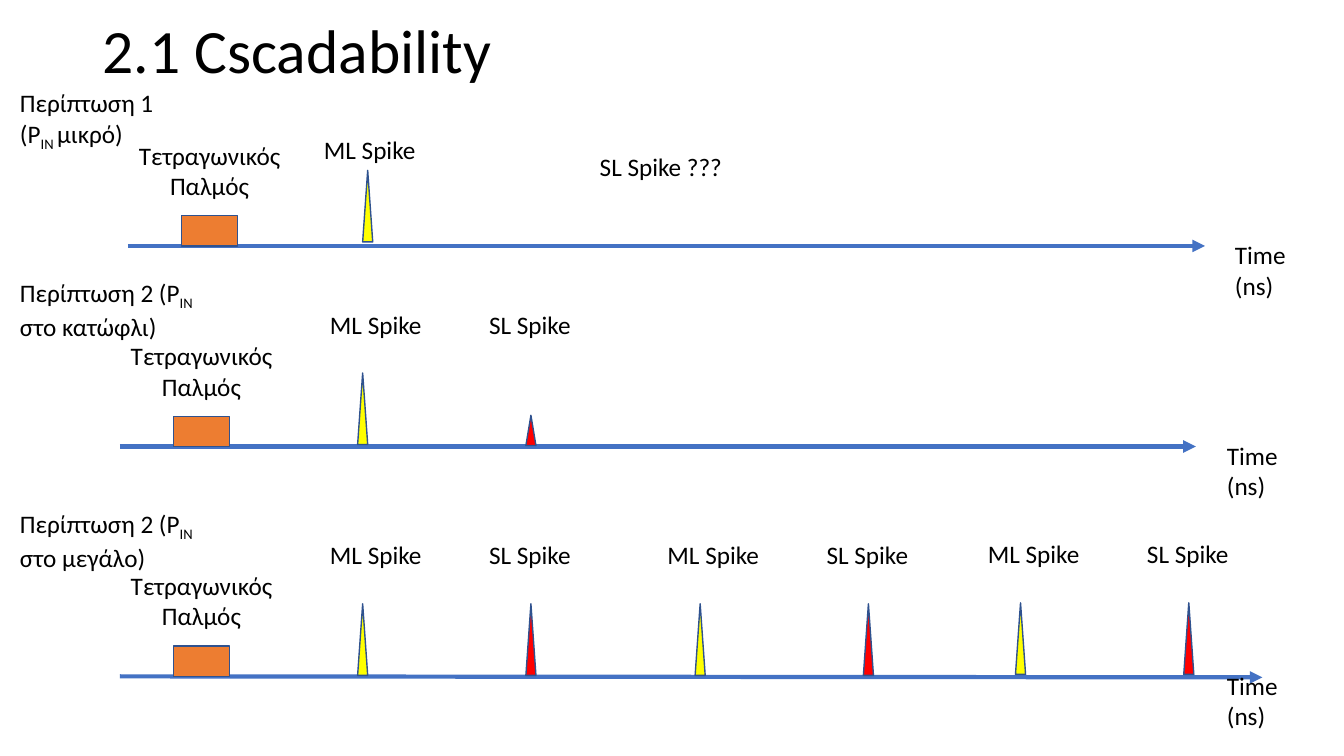
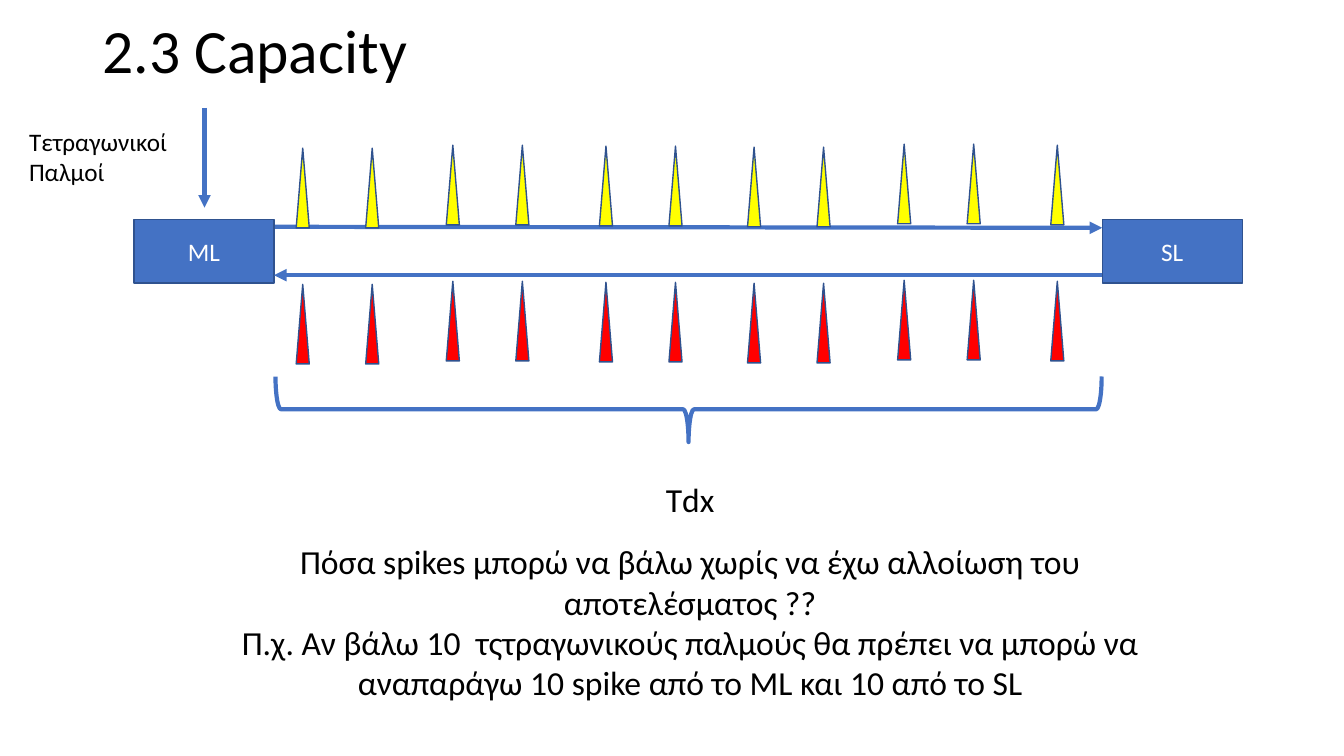
from lxml import etree
from pptx import Presentation
from pptx.dml.color import RGBColor
from pptx.enum.shapes import MSO_CONNECTOR, MSO_SHAPE
from pptx.enum.text import MSO_ANCHOR, PP_ALIGN
from pptx.oxml.ns import qn
from pptx.util import Inches, Pt

LEFT, CENTER = PP_ALIGN.LEFT, PP_ALIGN.CENTER
MIDDLE = MSO_ANCHOR.MIDDLE
RECT, TRIANGLE = MSO_SHAPE.RECTANGLE, MSO_SHAPE.ISOSCELES_TRIANGLE
BRACE = MSO_SHAPE.LEFT_BRACE
STRAIGHT = MSO_CONNECTOR.STRAIGHT

BLACK = RGBColor(0x00, 0x00, 0x00)
WHITE = RGBColor(0xFF, 0xFF, 0xFF)
BLUE = RGBColor(0x44, 0x72, 0xC4)
NAVY = RGBColor(0x2F, 0x52, 0x8F)
ORANGE = RGBColor(0xED, 0x7D, 0x31)
YELLOW = RGBColor(0xFF, 0xFF, 0x00)
RED = RGBColor(0xFF, 0x00, 0x00)
FONT = "Calibri"

# Spikes: label, label centre, label top, spike left, spike top, spike height
TRAIN = [
    (name, mid + shift, 5.3 - rise, left + shift, 5.99 - rise, 0.71)
    for shift, rise in [(0, 0), (3.35, 0), (6.53, 0.01)]
    for name, mid, left in [("ML Spike", 3.73, 3.55), ("SL Spike", 5.26, 5.22)]
]
CASES = [
    {"words": ("Περίπτωση 1 (P", "IN ", "μικρό)"), "top": 0.82, "width": 1.64,
     "start": (1.27, 2.44), "end": (11.96, 2.44),
     "spikes": [("ML Spike", 3.67, 1.28, 3.6, 1.69, 0.71),
                ("SL Spike ???", 6.56, 1.45, None, None, None)]},
    {"words": ("Περίπτωση 2 (P", "IN ", "στο κατώφλι)"), "top": 2.7, "width": 2.08,
     "start": (1.19, 4.43), "end": (11.87, 4.43),
     "spikes": [("ML Spike", 3.73, 3.02, 3.55, 3.7, 0.71),
                ("SL Spike", 5.26, 3.02, 5.22, 4.12, 0.3)]},
    {"words": ("Περίπτωση 2 (P", "IN ", "στο μεγάλο)"), "top": 4.99, "width": 2.08,
     "start": (1.19, 6.71), "end": (12.53, 6.72),
     "spikes": TRAIN},
]

NODES = [("ML", 1.33), ("SL", 10.94)]
ARROWS = [
    ((2.73, 2.25), (10.94, 2.26)),
    ((10.94, 2.73), (2.72, 2.73)),
    ((2.03, 1.07), (2.03, 2.06)),
]
PAIRS = [(2.94, 1.47), (4.43, 1.44), (5.95, 1.45), (7.42, 1.46), (8.91, 1.43)]
PAIR_GAP = 0.69
LAST = (10.43, 1.44)
RETURN_DROP = 1.35
QUESTION = [
    "Πόσα spikes μπορώ να βάλω χωρίς να έχω αλλοίωση του αποτελέσματος ??",
    "Π.χ. Αν βάλω 10  τςτραγωνικούς παλμούς θα πρέπει να μπορώ να "
    "αναπαράγω 10 spike από το ML και 10 από το SL",
]


def style(para, size, color, align):
    para.alignment = align
    para.font.name = FONT
    para.font.size = Pt(size)
    para.font.color.rgb = color


def add_text(slide, box, lines, size=18, align=LEFT):
    """Add a text box; a line given as a tuple has its second run lowered."""
    frame = slide.shapes.add_textbox(*map(Inches, box)).text_frame
    frame.word_wrap = True
    for i, line in enumerate(lines):
        para = frame.add_paragraph() if i else frame.paragraphs[0]
        runs = line if isinstance(line, tuple) else (line,)
        for j, words in enumerate(runs):
            run = para.add_run()
            run.text = words
            if j == 1:
                run._r.get_or_add_rPr().set("baseline", "-25000")
        style(para, size, BLACK, align)
    return frame


def add_block(slide, kind, box, fill):
    block = slide.shapes.add_shape(kind, *map(Inches, box))
    block.shadow.inherit = False
    block.fill.solid()
    block.fill.fore_color.rgb = fill
    block.line.color.rgb = NAVY
    block.line.width = Pt(1)
    return block


def add_arrow(slide, start, end):
    arrow = slide.shapes.add_connector(STRAIGHT, *map(Inches, start + end))
    arrow.line.color.rgb = BLUE
    arrow.line.width = Pt(3)
    etree.SubElement(arrow.line._get_or_add_ln(), qn("a:tailEnd"), type="triangle")
    etree.SubElement(arrow._element.spPr, qn("a:effectLst"))


def add_slide(deck, title):
    slide = deck.slides.add_slide(deck.slide_layouts[6])
    frame = add_text(slide, (0.92, 0.11, 11.5, 0.84), [title], 44)
    frame.vertical_anchor = MIDDLE
    frame.paragraphs[0].line_spacing = 0.9
    return slide


def draw_case(slide, case):
    x, y = case["start"]
    add_arrow(slide, case["start"], case["end"])
    add_text(slide, (x + 10.89, y - 0.11, 0.9, 0.7), ["Time (ns)"])
    add_block(slide, RECT, (x + 0.53, y - 0.3, 0.56, 0.3), ORANGE)
    add_text(slide, (x - 0.06, y - 1.1, 1.74, 0.7), ["Τετραγωνικός Παλμός"], align=CENTER)
    add_text(slide, (0.1, case["top"], case["width"], 0.74), [case["words"]])
    for name, mid, label_top, left, top, height in case["spikes"]:
        add_text(slide, (mid - 0.87, label_top, 1.74, 0.4), [name], align=CENTER)
        if left is not None:
            fill = YELLOW if name.startswith("ML") else RED
            add_block(slide, TRIANGLE, (left, top, 0.1, height), fill)


def draw_link(slide):
    for name, left in NODES:
        node = add_block(slide, RECT, (left, 2.18, 1.39, 0.63), BLUE)
        node.text_frame.text = name
        node.text_frame.vertical_anchor = MIDDLE
        style(node.text_frame.paragraphs[0], 18, WHITE, CENTER)
    for start, end in ARROWS:
        add_arrow(slide, start, end)
    add_text(slide, (0.19, 1.2, 1.6, 0.7), ["Τετραγωνικοί Παλμοί"])

    spots = [(x + gap, y) for x, y in PAIRS for gap in (0, PAIR_GAP)] + [LAST]
    for fill, drop in [(YELLOW, 0), (RED, RETURN_DROP)]:
        for x, y in spots:
            add_block(slide, TRIANGLE, (x, y + drop, 0.13, 0.79), fill)

    brace = slide.shapes.add_shape(BRACE, *map(Inches, (6.51, -0.04, 0.65, 8.2)))
    brace.rotation = 270
    brace.shadow.inherit = False
    brace.fill.background()
    brace.line.color.rgb = BLUE
    brace.line.width = Pt(3)
    add_text(slide, (6.48, 4.7, 0.74, 0.5), ["Τdx"], 24, CENTER)
    add_text(slide, (2.25, 5.32, 9.2, 1.7), QUESTION, 24, CENTER)


def main():
    deck = Presentation()
    deck.slide_width, deck.slide_height = Inches(13.34), Inches(7.5)
    slide = add_slide(deck, "2.1 Cscadability")
    for case in CASES:
        draw_case(slide, case)
    draw_link(add_slide(deck, "2.3 Capacity"))
    deck.save("out.pptx")


if __name__ == "__main__":
    main()
